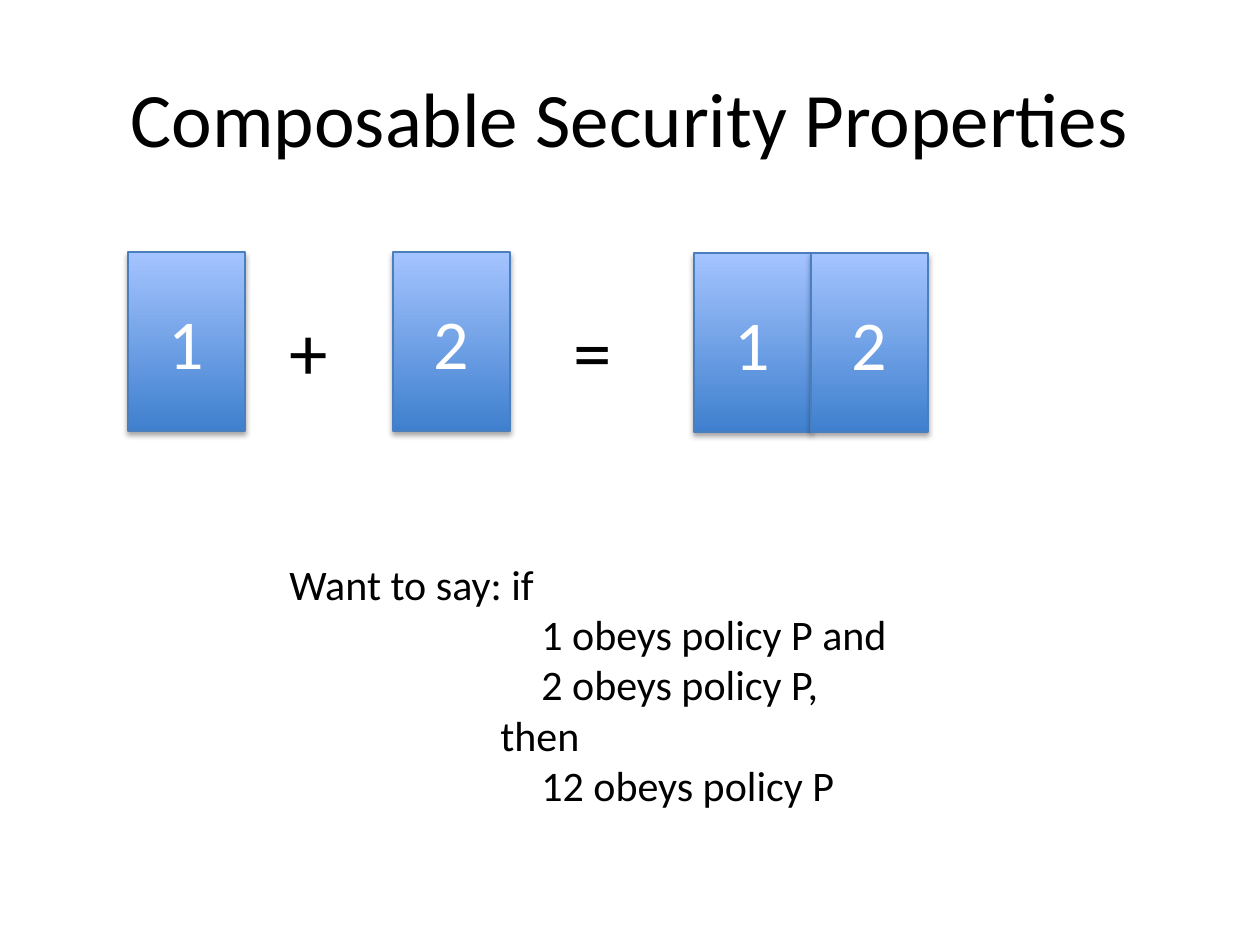
from lxml.etree import SubElement
from pptx import Presentation
from pptx.dml.color import RGBColor
from pptx.enum.shapes import MSO_SHAPE
from pptx.enum.text import MSO_ANCHOR as Anchor, PP_ALIGN as Align
from pptx.oxml.ns import qn
from pptx.util import Pt

PX = 914400 / 126
BLACK = RGBColor(0x00, 0x00, 0x00)
WHITE = RGBColor(0xFF, 0xFF, 0xFF)
DEEP_BLUE = RGBColor(0x3F, 0x80, 0xCE)
PALE_BLUE = RGBColor(0xA4, 0xC4, 0xFF)
EDGE_BLUE = RGBColor(0x4B, 0x7E, 0xBC)

# Content: places in px
TITLE = "Composable Security Properties"
BOX_WIDTH, BOX_HEIGHT = 117, 179
COMPONENTS = [("1", 128, 252), ("2", 393, 252),
              ("1", 694, 253), ("2", 694 + BOX_WIDTH, 253)]
OPERATORS = [("+", 277), ("=", 561)]
CLAIM = [("Want to say: if", 0), ("1 obeys policy P and", 252),
         ("2 obeys policy P,", 252), ("then", 211),
         ("12 obeys policy P", 252)]  # text, indent


def px(length):
    return round(length * PX)


def write(shape, lines, size=24, color=BLACK, align=Align.LEFT, anchor=Anchor.TOP):
    frame = shape.text_frame
    frame.word_wrap = True
    frame.vertical_anchor = anchor
    for index, (text, indent) in enumerate(lines):
        para = frame.add_paragraph() if index else frame.paragraphs[0]
        para.alignment = align
        if indent:
            para._p.get_or_add_pPr().set("marL", str(px(indent)))
        span = para.add_run()
        span.text = text
        span.font.name = "Calibri"
        span.font.size = Pt(size)
        span.font.color.rgb = color


def add_text(page, place, lines, **style):
    write(page.shapes.add_textbox(*map(px, place)), lines, **style)


def add_shadow(shape):
    effects = SubElement(shape._element.spPr, qn("a:effectLst"))
    shadow = SubElement(effects, qn("a:outerShdw"), blurRad=str(Pt(3.1)),
                        dist=str(Pt(1.8)), dir="5400000", rotWithShape="0")
    tint = SubElement(shadow, qn("a:srgbClr"), val=str(BLACK))
    SubElement(tint, qn("a:alpha"), val="35000")


def add_component(page, label, left, top):
    box = page.shapes.add_shape(MSO_SHAPE.RECTANGLE, px(left), px(top),
                                px(BOX_WIDTH), px(BOX_HEIGHT))
    box.fill.gradient()
    box.fill.gradient_angle = 90
    for stop, color, position in zip(box.fill.gradient_stops,
                                     (DEEP_BLUE, PALE_BLUE), (0, 1)):
        stop.color.rgb = color
        stop.position = position
    box.line.color.rgb = EDGE_BLUE
    box.line.width = Pt(0.75)
    add_shadow(box)
    write(box, [(label, 0)], size=40, color=WHITE, align=Align.CENTER,
          anchor=Anchor.MIDDLE)


def main():
    deck = Presentation()
    deck.slide_width, deck.slide_height = px(1260), px(945)
    page = deck.slides.add_slide(deck.slide_layouts[6])

    # Title
    add_text(page, (63, 38, 1134, 158), [(TITLE, 0)], size=44,
             align=Align.CENTER, anchor=Anchor.MIDDLE)

    # Equation of components
    for component in COMPONENTS:
        add_component(page, *component)
    for symbol, left in OPERATORS:
        add_text(page, (left, 297, 77, 106), [(symbol, 0)], size=44)

    # Claim
    add_text(page, (277, 552, 629, 267), CLAIM)

    deck.save("out.pptx")


if __name__ == "__main__":
    main()
